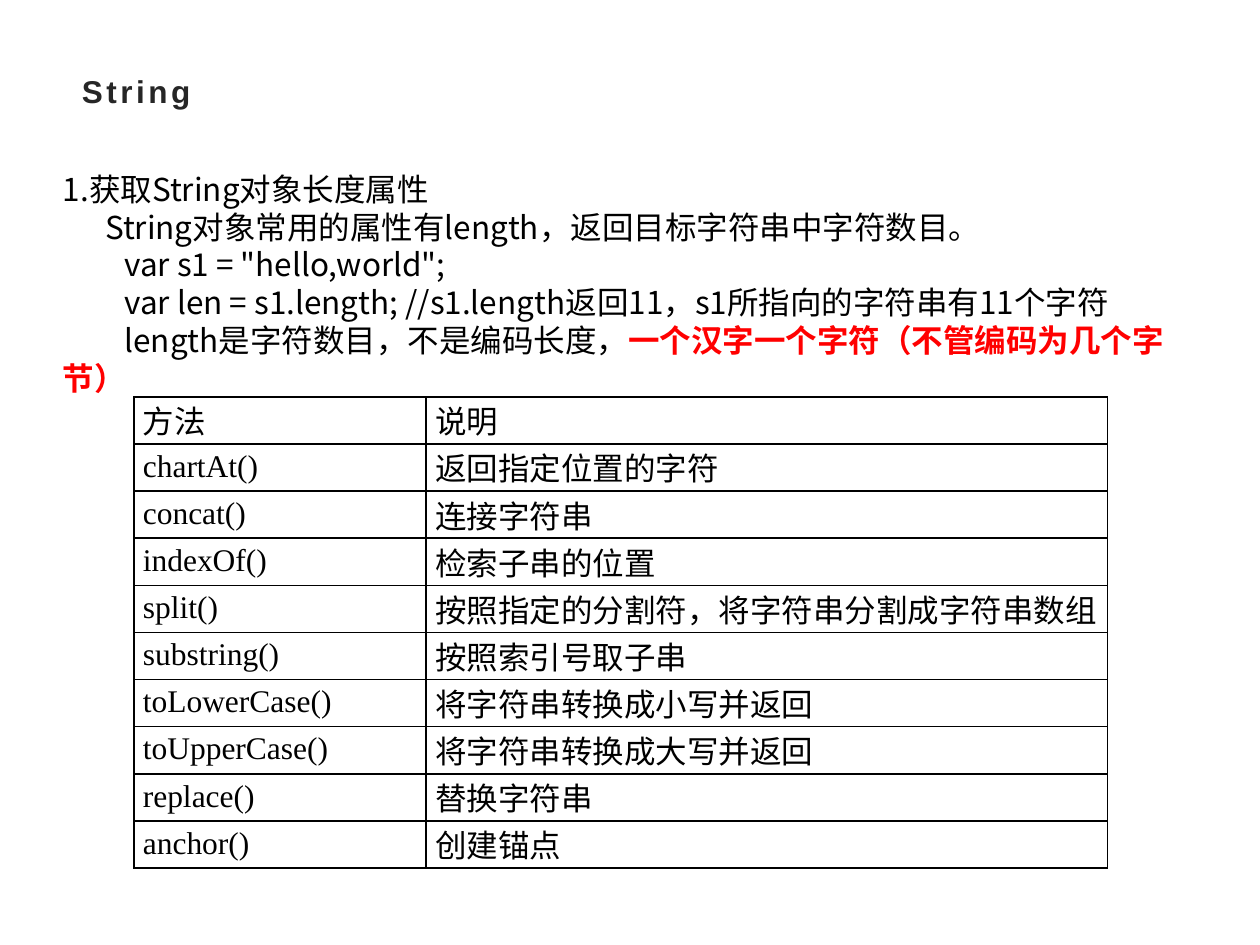
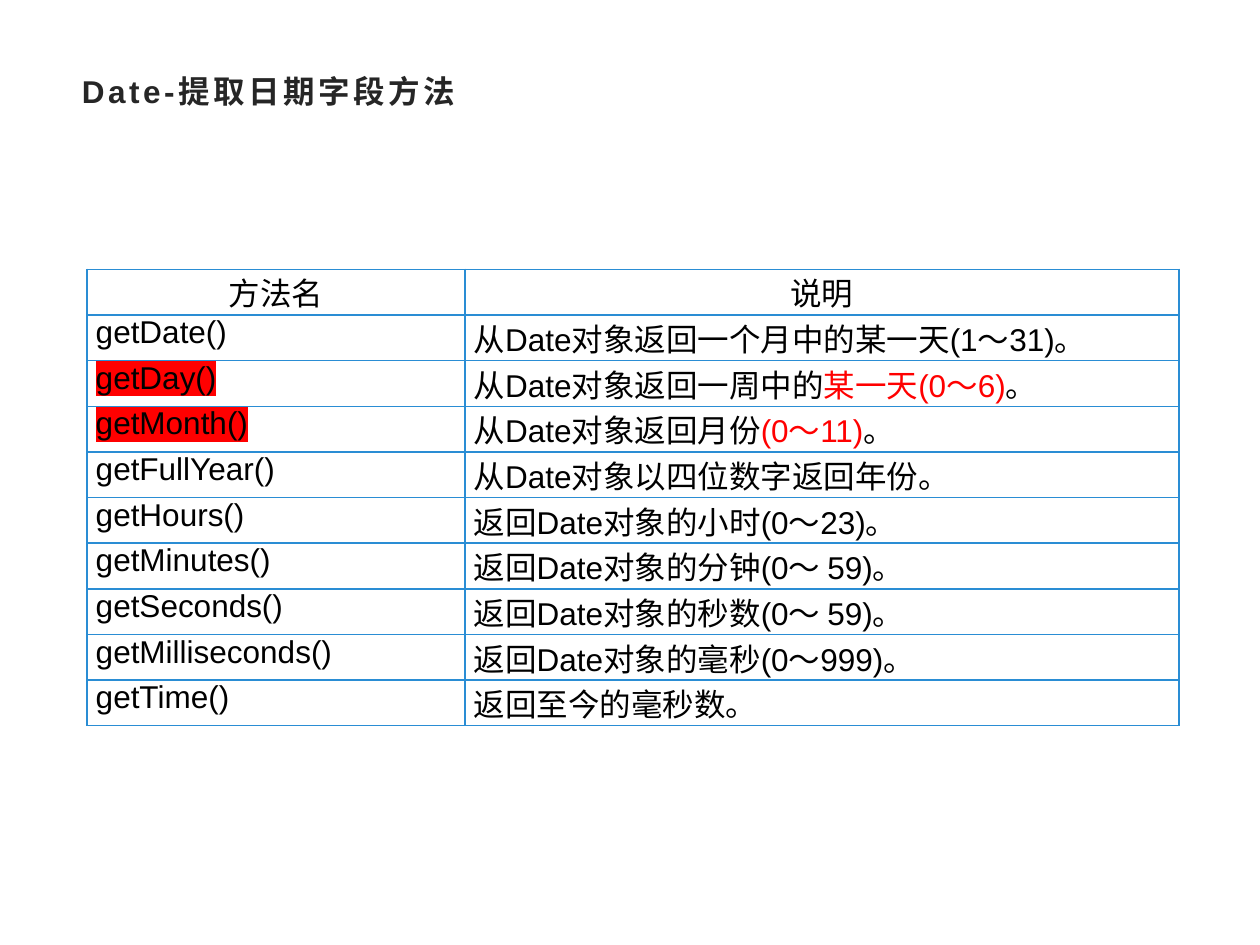
from typing import NamedTuple

from lxml import etree
from pptx import Presentation
from pptx.dml.color import RGBColor
from pptx.enum.text import MSO_ANCHOR, MSO_AUTO_SIZE, PP_ALIGN
from pptx.oxml.ns import qn
from pptx.util import Cm, Pt

MIDDLE = MSO_ANCHOR.MIDDLE
GROW = MSO_AUTO_SIZE.SHAPE_TO_FIT_TEXT
LEFT, CENTER = PP_ALIGN.LEFT, PP_ALIGN.CENTER

BLACK, RED, DARK, BLUE = "000000", "FF0000", "262626", "2A8DD4"
SANS, SERIF, HAN = "Arial", "Times New Roman", "Noto Sans CJK SC"
SIZE = 18


class Span(NamedTuple):
    text: str
    color: str = ""
    bold: bool = False
    mark: str = ""


class Line(NamedTuple):
    spans: list[Span]
    indent: float = 0


class Grid(NamedTuple):
    left: float
    top: float
    cols: tuple[float, float]
    row: float
    font: str
    edge: str
    head: PP_ALIGN
    pad: float
    drop: float
    pitch: float
    rows: list[tuple[list[Span], list[Span]]]


def tint(code: str) -> RGBColor:
    return RGBColor.from_string(code)


def plain(text: str) -> list[Span]:
    return [Span(text)]


def write(para, spans: list[Span], face: str, color: str = BLACK,
          bold: bool = False, track: float = 0) -> None:
    font = para.font
    font.name, font.size, font.bold = face, Pt(SIZE), bold
    font.color.rgb = tint(color)
    props = para._p.get_or_add_pPr().find(qn("a:defRPr"))
    etree.SubElement(props, qn("a:ea"), typeface=HAN)
    if track:
        props.set("spc", str(int(track * 100)))
    for span in spans:
        run = para.add_run()
        run.text = span.text
        if span.color:
            run.font.color.rgb = tint(span.color)
        if span.bold:
            run.font.bold = True
        if span.mark:
            mark = etree.SubElement(run._r.get_or_add_rPr(), qn("a:highlight"))
            etree.SubElement(mark, qn("a:srgbClr"), val=span.mark)


def add_box(slide, left: float, top: float, width: float, height: float):
    box = slide.shapes.add_textbox(Cm(left), Cm(top), Cm(width), Cm(height))
    box.text_frame.word_wrap = True
    return box.text_frame


def add_title(slide, text: str) -> None:
    frame = add_box(slide, 1.4, 1.22, 22.6, 1.22)
    frame.vertical_anchor = MIDDLE
    write(frame.paragraphs[0], plain(text), SANS, DARK, True, 2)


def add_body(slide, lines: list[Line]) -> None:
    frame = add_box(slide, 1.02, 3.3, 23.7, 4.1)
    frame.auto_size = GROW
    for i, line in enumerate(lines):
        para = frame.add_paragraph() if i else frame.paragraphs[0]
        para.line_spacing = Pt(21.6)
        props = para._p.get_or_add_pPr()
        props.set("marL", "0")
        props.set("indent", str(Cm(line.indent)))
        write(para, line.spans, HAN)


def add_edges(cell, color: str) -> None:
    props = cell._tc.get_or_add_tcPr()
    for i, side in enumerate(("lnL", "lnR", "lnT", "lnB")):
        edge = etree.Element(qn(f"a:{side}"), w=str(Pt(1)))
        fill = etree.SubElement(edge, qn("a:solidFill"))
        etree.SubElement(fill, qn("a:srgbClr"), val=color)
        props.insert(i, edge)


def add_grid(slide, grid: Grid) -> None:
    count = len(grid.rows)
    table = slide.shapes.add_table(
        count, len(grid.cols), Cm(grid.left), Cm(grid.top),
        Cm(sum(grid.cols)), Cm(grid.row * count)).table
    table.first_row = table.horz_banding = False
    for col, width in zip(table.columns, grid.cols):
        col.width = Cm(width)
    for r, row in enumerate(grid.rows):
        table.rows[r].height = Cm(grid.row)
        for c, spans in enumerate(row):
            cell = table.cell(r, c)
            cell.fill.background()
            add_edges(cell, grid.edge)
            cell.margin_left = cell.margin_right = Cm(0.18)
            cell.margin_top = Cm(grid.drop if r == 0 or c == 1 else grid.pad)
            cell.margin_bottom = Cm(0)
            para = cell.text_frame.paragraphs[0]
            para.alignment = LEFT if r else grid.head
            if grid.pitch:
                para.line_spacing = Pt(grid.pitch)
            write(para, spans, grid.font)


BODY = [
    Line(plain("1.获取String对象长度属性")),
    Line(plain("String对象常用的属性有length，返回目标字符串中字符数目。"), 0.85),
    Line(plain('var s1 = "hello,world";'), 1.24),
    Line(plain("var len = s1.length; //s1.length返回11，s1所指向的字符串有11个字符"), 1.24),
    Line([Span("length是字符数目，不是编码长度，"),
          Span("一个汉字一个字符（不管编码为几个字节）", RED, True)], 1.24),
]

STRING = Grid(2.7, 8.0, (5.89, 13.74), 0.95, SERIF, BLACK, LEFT, 0.1, 0.22, 20, [
    (plain(name), plain(note)) for name, note in (
        ("方法", "说明"),
        ("chartAt()", "返回指定位置的字符"),
        ("concat()", "连接字符串"),
        ("indexOf()", "检索子串的位置"),
        ("split()", "按照指定的分割符，将字符串分割成字符串数组"),
        ("substring()", "按照索引号取子串"),
        ("toLowerCase()", "将字符串转换成小写并返回"),
        ("toUpperCase()", "将字符串转换成大写并返回"),
        ("replace()", "替换字符串"),
        ("anchor()", "创建锚点"),
    )])

DATE = Grid(1.75, 5.43, (7.62, 14.4), 0.92, SANS, BLUE, CENTER, 0, 0, 0, [
    (plain("方法名"), plain("说明")),
    (plain("getDate()"), plain("从Date对象返回一个月中的某一天(1～31)。")),
    ([Span("getDay()", mark=RED)],
     [Span("从Date对象返回一周中的"), Span("某一天(0～6)", RED), Span("。")]),
    ([Span("getMonth()", mark=RED)],
     [Span("从Date对象返回月份"), Span("(0～11)", RED), Span("。")]),
    (plain("getFullYear()"), plain("从Date对象以四位数字返回年份。")),
    (plain("getHours()"), plain("返回Date对象的小时(0～23)。")),
    (plain("getMinutes()"), plain("返回Date对象的分钟(0～ 59)。")),
    (plain("getSeconds()"), plain("返回Date对象的秒数(0～ 59)。")),
    (plain("getMilliseconds()"), plain("返回Date对象的毫秒(0～999)。")),
    (plain("getTime()"), plain("返回至今的毫秒数。")),
])


def main() -> None:
    deck = Presentation()
    deck.slide_width, deck.slide_height = Cm(25.4), Cm(19.05)
    blank = deck.slide_layouts[6]
    for title, lines, grid in (("String", BODY, STRING),
                               ("Date-提取日期字段方法", [], DATE)):
        slide = deck.slides.add_slide(blank)
        add_title(slide, title)
        if lines:
            add_body(slide, lines)
        add_grid(slide, grid)
    deck.save("out.pptx")


if __name__ == "__main__":
    main()
